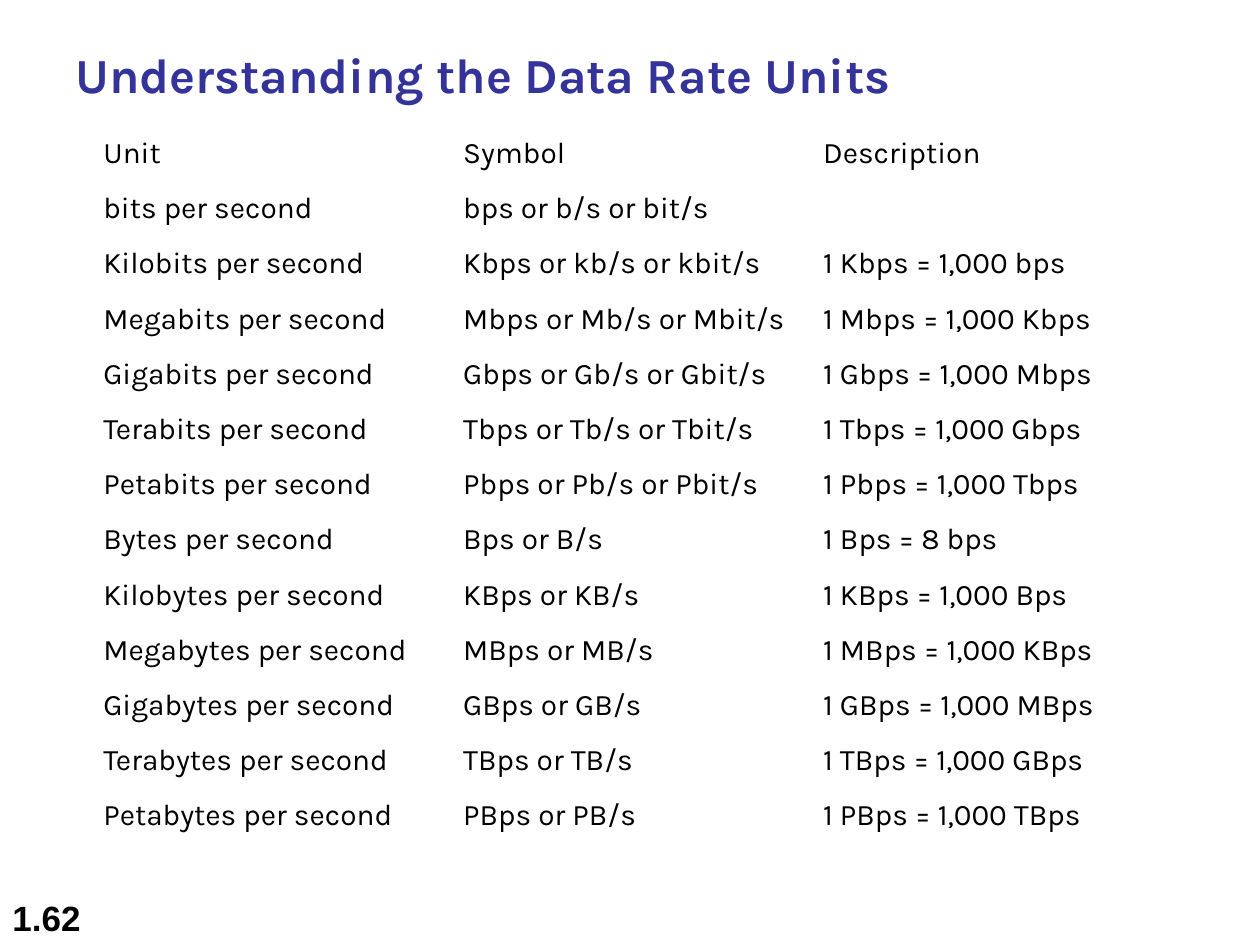
from pptx import Presentation
from pptx import util as u
from pptx.dml.color import RGBColor
from pptx.enum import text

BLACK = RGBColor(0x00, 0x00, 0x00)
INDIGO = RGBColor(0x33, 0x33, 0x99)

UNITS = [
    ("Unit", "Symbol", "Description"),
    ("bits per second", "bps or b/s or bit/s", ""),
    ("Kilobits per second", "Kbps or kb/s or kbit/s", "1 Kbps = 1,000 bps"),
    ("Megabits per second", "Mbps or Mb/s or Mbit/s", "1 Mbps = 1,000 Kbps"),
    ("Gigabits per second", "Gbps or Gb/s or Gbit/s", "1 Gbps = 1,000 Mbps"),
    ("Terabits per second", "Tbps or Tb/s or Tbit/s", "1 Tbps = 1,000 Gbps"),
    ("Petabits per second", "Pbps or Pb/s or Pbit/s", "1 Pbps = 1,000 Tbps"),
    ("Bytes per second", "Bps or B/s", "1 Bps = 8 bps"),
    ("Kilobytes per second", "KBps or KB/s", "1 KBps = 1,000 Bps"),
    ("Megabytes per second", "MBps or MB/s", "1 MBps = 1,000 KBps"),
    ("Gigabytes per second", "GBps or GB/s", "1 GBps = 1,000 MBps"),
    ("Terabytes per second", "TBps or TB/s", "1 TBps = 1,000 GBps"),
    ("Petabytes per second", "PBps or PB/s", "1 PBps = 1,000 TBps"),
]


class SlideWriter:
    """Holds the style and the slide; lengths are cells of a 100 by 75 grid."""

    unit = u.Inches(0.1)
    body_font = "Karla"
    number_font = "Arial"

    def __init__(self, deck):
        self.slide = deck.slides.add_slide(deck.slide_layouts[6])

    def place(self, *cells):
        return [round(cell * self.unit) for cell in cells]

    def style(self, para, font, size, color, bold=False):
        para.font.name = font
        para.font.size = u.Pt(size)
        para.font.color.rgb = color
        para.font.bold = bold

    def text_box(self, wording, area, font, size, color, anchor):
        box = self.slide.shapes.add_textbox(*self.place(*area))
        frame = box.text_frame
        frame.word_wrap = True
        frame.vertical_anchor = anchor
        frame.text = wording
        self.style(frame.paragraphs[0], font, size, color, bold=True)

    def table(self, rows, area, size):
        left, top, width, height = self.place(*area)
        grid = self.slide.shapes.add_table(
            len(rows), len(rows[0]), left, top, width, height).table
        grid.first_row = grid.horz_banding = False
        for row, wordings in zip(grid.rows, rows):
            for cell, wording in zip(row.cells, wordings):
                cell.fill.background()
                cell.vertical_anchor = text.MSO_ANCHOR.MIDDLE
                cell.text = wording
                self.style(cell.text_frame.paragraphs[0], self.body_font, size, BLACK)


def main():
    deck = Presentation()
    deck.slide_width, deck.slide_height = u.Inches(10), u.Inches(7.5)
    writer = SlideWriter(deck)
    writer.table(UNITS, (7.2, 10, 85.7, 57), 17)
    writer.text_box("1.62", (0, 70, 20.8, 5), writer.number_font, 20, BLACK,
                    text.MSO_ANCHOR.BOTTOM)
    writer.text_box("Understanding the Data Rate Units", (5, 3, 90, 12.5),
                    writer.body_font, 28, INDIGO, text.MSO_ANCHOR.TOP)
    deck.save("out.pptx")


if __name__ == "__main__":
    main()
